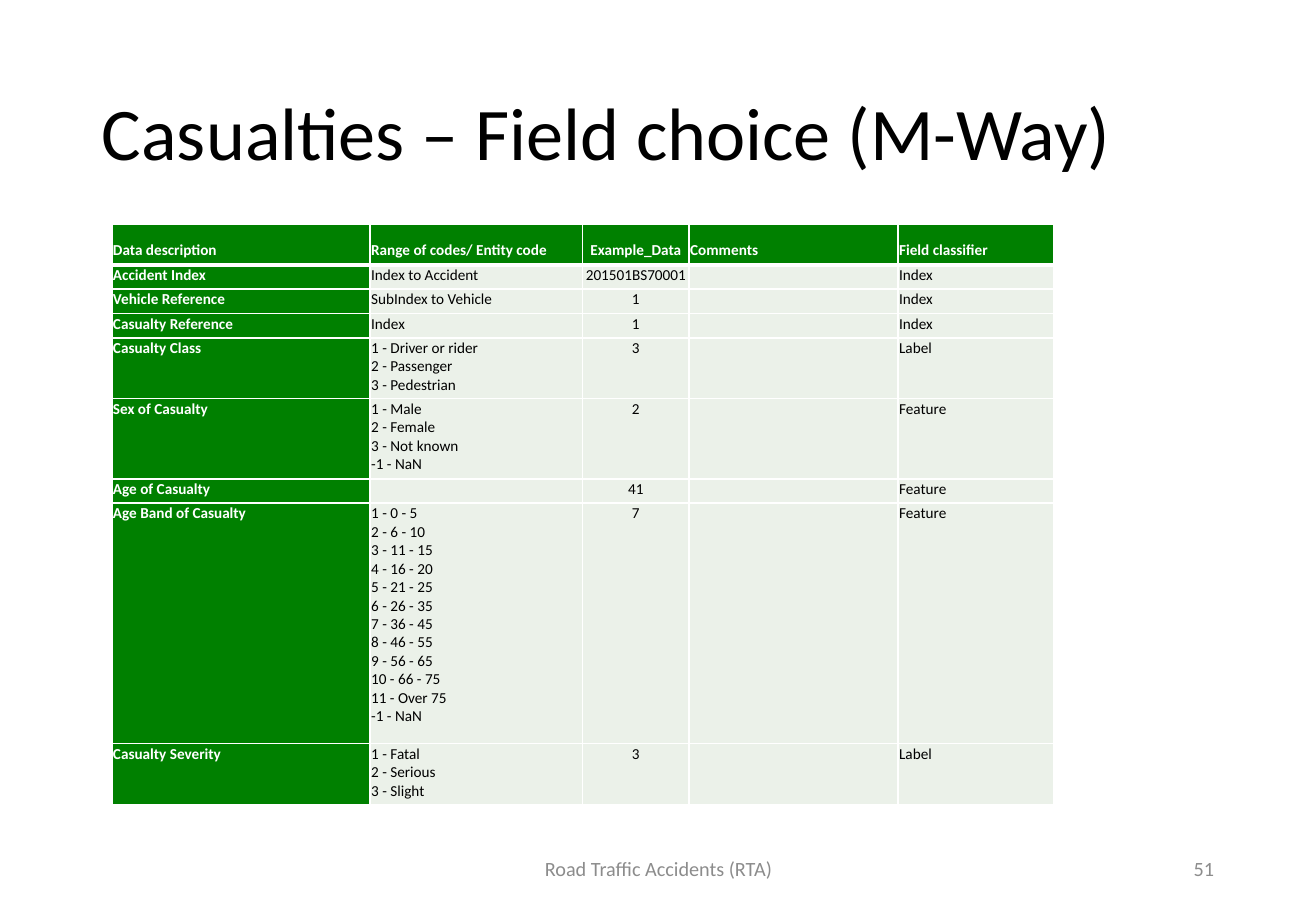
from copy import deepcopy
from dataclasses import dataclass

from lxml import etree
from pptx import Presentation
from pptx import util as u
from pptx.dml.color import RGBColor
from pptx.enum import text
from pptx.oxml import ns


@dataclass(frozen=True)
class Theme:
    font: str = "Calibri"
    black: str = "000000"
    white: str = "FFFFFF"
    green: str = "008000"
    pale: str = "EBF1E9"
    grey: str = "8C8C8C"
    title_size: int = 44
    cell_size: int = 9
    footer_size: int = 12
    thin_line: int = 1
    thick_line: int = 3


LEFT, CENTER, RIGHT = text.PP_ALIGN.LEFT, text.PP_ALIGN.CENTER, text.PP_ALIGN.RIGHT
TOP, MIDDLE, BOTTOM = text.MSO_ANCHOR.TOP, text.MSO_ANCHOR.MIDDLE, text.MSO_ANCHOR.BOTTOM

COLUMN_WIDTHS = [21.25, 17.5, 8.75, 17.2, 12.85]
ROW_HEIGHTS = [3.3, 2, 2, 2, 5, 6.6, 2, 19.8, 5]
AGE_BANDS = ["0 - 5", "6 - 10", "11 - 15", "16 - 20", "21 - 25", "26 - 35",
             "36 - 45", "46 - 55", "56 - 65", "66 - 75", "Over 75"]


def numbered(names, unknown=False):
    """List the codes of a field, one a line, with -1 for missing values."""
    lines = [f"{code} - {name}" for code, name in enumerate(names, 1)]
    return "\n".join(lines + ["-1 - NaN"] * unknown)


FIELDS = [
    ["Data description", "Range of codes/ Entity code", "Example_Data", "Comments", "Field classifier"],
    ["Accident Index", "Index to Accident", "201501BS70001", "", "Index"],
    ["Vehicle Reference", "SubIndex to Vehicle", "1", "", "Index"],
    ["Casualty Reference", "Index", "1", "", "Index"],
    ["Casualty Class", numbered(["Driver or rider", "Passenger", "Pedestrian"]), "3", "", "Label"],
    ["Sex of Casualty", numbered(["Male", "Female", "Not known"], True), "2", "", "Feature"],
    ["Age of Casualty", "", "41", "", "Feature"],
    ["Age Band of Casualty", numbered(AGE_BANDS, True), "7", "", "Feature"],
    ["Casualty Severity", numbered(["Fatal", "Serious", "Slight"]), "3", "", "Label"],
]


def write_text(frame, words, *, font, size, color, bold=False, align=LEFT, spacing=None):
    para = frame.paragraphs[0]
    para.text = words
    para.alignment = align
    if spacing:
        para.line_spacing = spacing
    for span in para.runs:
        span.font.name = font
        span.font.size = u.Pt(size)
        span.font.bold = bold
        span.font.color.rgb = RGBColor.from_string(color)
    # Line breaks and empty cells need the type size too
    for line_break in para._p.findall(ns.qn("a:br")):
        line_break.append(deepcopy(para.runs[0]._r.rPr))
    if not words:
        etree.SubElement(para._p, ns.qn("a:endParaRPr"), sz=str(size * 100))


class SlideBuilder:
    """Places elements on a grid of ten columns and ten rows to the inch."""

    def __init__(self, deck, theme):
        self.theme = theme
        self.page = deck.slides.add_slide(deck.slide_layouts[6])

    @staticmethod
    def grid(*steps):
        return [u.Inches(step / 10) for step in steps]

    def text_box(self, place, words, **style):
        box = self.page.shapes.add_textbox(*self.grid(*place))
        box.text_frame.word_wrap = True
        box.text_frame.vertical_anchor = MIDDLE
        write_text(box.text_frame, words, font=self.theme.font, **style)

    def border(self, cell, side, width):
        line = etree.SubElement(cell._tc.get_or_add_tcPr(), ns.qn(f"a:ln{side}"), w=str(u.Pt(width)))
        fill = etree.SubElement(line, ns.qn("a:solidFill"))
        etree.SubElement(fill, ns.qn("a:srgbClr"), val=self.theme.white)

    def cell(self, cell, words, row, column):
        theme = self.theme
        heading = row == 0 or column == 0
        cell.margin_left = cell.margin_right = cell.margin_top = u.Inches(0.01)
        cell.margin_bottom = u.Inches(0.04)
        cell.vertical_anchor = BOTTOM if row == 0 else TOP
        for side in "LRTB":
            thick = (row, side) in [(0, "B"), (1, "T")]
            self.border(cell, side, theme.thick_line if thick else theme.thin_line)
        cell.fill.solid()
        cell.fill.fore_color.rgb = RGBColor.from_string(theme.green if heading else theme.pale)
        write_text(cell.text_frame, words, font=theme.font, size=theme.cell_size,
                   color=theme.white if heading else theme.black, bold=heading,
                   align=CENTER if column == 2 else LEFT)

    def table(self, left, top, widths, heights, rows):
        place = self.grid(left, top, sum(widths), sum(heights))
        table = self.page.shapes.add_table(len(heights), len(widths), *place).table
        for column, width in zip(table.columns, self.grid(*widths)):
            column.width = width
        for row, height in zip(table.rows, self.grid(*heights)):
            row.height = height
        for row, values in enumerate(rows):
            for column, words in enumerate(values):
                self.cell(table.cell(row, column), words, row, column)


def main():
    deck = Presentation()
    deck.slide_width, deck.slide_height = u.Inches(10.83), u.Inches(7.5)
    theme = Theme()
    slide = SlideBuilder(deck, theme)

    # Title
    slide.text_box((7.4, 4, 93.4, 14.5), "Casualties – Field choice (M-Way)",
                   size=theme.title_size, color=theme.black, spacing=0.9)

    # Field table
    slide.table(9.2, 18.5, COLUMN_WIDTHS, ROW_HEIGHTS, FIELDS)

    # Footer and slide number
    footer = {"size": theme.footer_size, "color": theme.grey}
    slide.text_box((35.9, 69.5, 36.6, 4), "Road Traffic Accidents (RTA)", align=CENTER, **footer)
    slide.text_box((76.5, 69.5, 24.4, 4), "51", align=RIGHT, **footer)

    deck.save("out.pptx")


if __name__ == "__main__":
    main()
